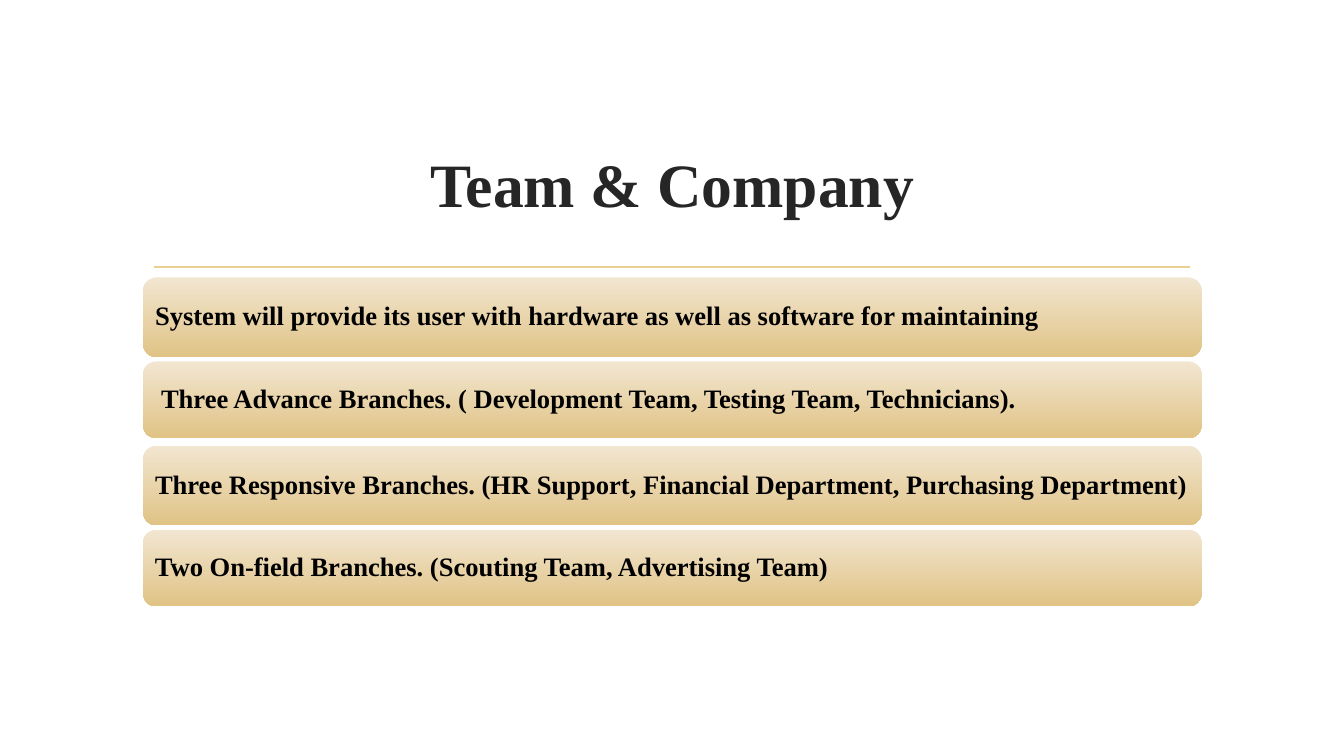
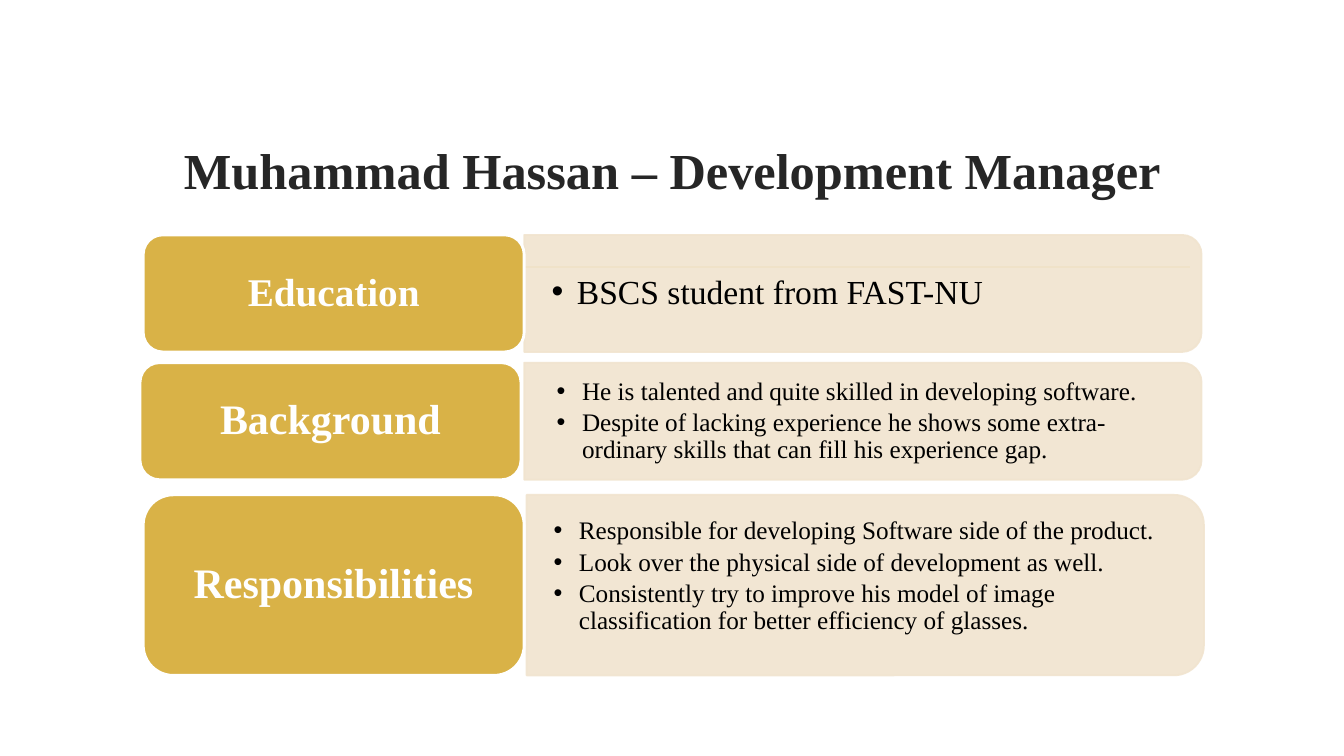
from lxml.etree import SubElement
from pptx import Presentation
from pptx.dml.color import RGBColor
from pptx.enum.shapes import MSO_CONNECTOR, MSO_SHAPE
from pptx.enum.text import MSO_ANCHOR, PP_ALIGN
from pptx.oxml.ns import qn
from pptx.util import Cm, Pt

FONT = "Times New Roman"
COLORS = {
    "title": "262626",
    "rule": "E8D191",
    "bar_top": "F2E6D1",
    "bar_bottom": "E0C385",
    "tab": "D9B247",
    "panel": "F1E4CF",
    "black": "000000",
    "white": "FFFFFF",
}
LEFT, WIDTH = 3.61, 26.67
TAB_WIDTH, PANEL_WIDTH, TEXT_WIDTH = 9.6, 17.07, 16.92
BAR_TOP, BAR_PITCH = 6.99, 2.12

BARS = [
    ("System will provide its user with hardware as well as software for maintaining", 2.01),
    (" Three Advance Branches. ( Development Team, Testing Team, Technicians).", 1.93),
    ("Three Responsive Branches. (HR Support, Financial Department, Purchasing Department)", 2.01),
    ("Two On-field Branches. (Scouting Team, Advertising Team)", 1.93),
]

PROFILE = [
    dict(top=5.92, height=2.95, tab_left=3.61, panel_left=13.21, text_left=13.21,
         label="Education", label_size=28, size=24, anchor=MSO_ANCHOR.MIDDLE,
         points=["BSCS student from FAST-NU"]),
    dict(top=9.14, height=2.95, tab_left=3.53, panel_left=13.21, text_left=13.34,
         label="Background", label_size=30, size=18, anchor=MSO_ANCHOR.MIDDLE,
         points=["He is talented and quite skilled in developing software.",
                 "Despite of lacking experience he shows some extra-ordinary skills "
                 "that can fill his experience gap."]),
    dict(top=12.47, height=4.55, tab_left=3.61, panel_left=13.27, text_left=13.26,
         label="Responsibilities", label_size=30, size=18, anchor=MSO_ANCHOR.TOP,
         points=["Responsible for developing Software side of the product.",
                 "Look over the physical side of development as well.",
                 "Consistently try to improve his model of image classification "
                 "for better efficiency of glasses."]),
]


def rgb(name):
    return RGBColor.from_string(COLORS[name])


def set_frame(tf, margins, anchor=MSO_ANCHOR.MIDDLE):
    """Margins are left, top, right, bottom in centimetres."""
    tf.word_wrap = True
    tf.vertical_anchor = anchor
    tf.margin_left, tf.margin_top, tf.margin_right, tf.margin_bottom = map(Cm, margins)


def style(p, size, color, bold=False, align=PP_ALIGN.LEFT, spacing=0.9):
    p.alignment = align
    p.line_spacing = spacing
    for r in p.runs:
        r.font.name = FONT
        r.font.size = Pt(size)
        r.font.bold = bold
        r.font.color.rgb = rgb(color)


def add_bullet(p):
    pPr = p._p.get_or_add_pPr()
    pPr.set("marL", str(Cm(0.64)))
    pPr.set("indent", str(-Cm(0.64)))
    SubElement(pPr, qn("a:buFont"), typeface="Arial")
    SubElement(pPr, qn("a:buChar"), char="•")


def add_titled_slide(prs, title, size, height):
    s = prs.slides.add_slide(prs.slide_layouts[6])
    rule = s.shapes.add_connector(MSO_CONNECTOR.STRAIGHT, Cm(3.89), Cm(6.73), Cm(30), Cm(6.73))
    rule.line.color.rgb = rgb("rule")
    rule.line.width = Pt(1.25)
    SubElement(rule._element.spPr, qn("a:effectLst"))
    tf = s.shapes.add_textbox(Cm(LEFT), Cm(2.8), Cm(WIDTH), Cm(height)).text_frame
    set_frame(tf, (0.25, 0.13, 0.25, 0.13))
    tf.text = title
    style(tf.paragraphs[0], size, "title", True, PP_ALIGN.CENTER, 1)
    return s


def add_box(s, kind, left, top, width, height):
    sp = s.shapes.add_shape(kind, Cm(left), Cm(top), Cm(width), Cm(height))
    sp.shadow.inherit = False
    return sp


def add_bar(s, text, top, height):
    sp = add_box(s, MSO_SHAPE.ROUNDED_RECTANGLE, LEFT, top, WIDTH, height)
    sp.fill.gradient()
    sp.fill.gradient_angle = 270
    for stop, name in zip(sp.fill.gradient_stops, ("bar_top", "bar_bottom")):
        stop.color.rgb = rgb(name)
    sp.line.fill.background()
    tf = sp.text_frame
    set_frame(tf, (0.2, 0.2, 0.1, 0.2))
    tf.text = text
    style(tf.paragraphs[0], 19, "black", True)


def add_panel(s, left, top, height):
    """Translucent panel with round right corners: a top-rounded box turned 90°."""
    shift = (PANEL_WIDTH - height) / 2
    sp = add_box(s, MSO_SHAPE.ROUND_2_SAME_RECTANGLE,
                 left + shift, top - shift, height, PANEL_WIDTH)
    sp.rotation = 90
    sp.fill.solid()
    sp.fill.fore_color.rgb = rgb("panel")
    sp.line.color.rgb = rgb("panel")
    sp.line.width = Pt(1.25)
    for clr in sp._element.spPr.iter(qn("a:srgbClr")):
        SubElement(clr, qn("a:alpha"), val="90000")


def add_tab(s, label, size, left, top, height):
    sp = add_box(s, MSO_SHAPE.ROUNDED_RECTANGLE, left, top, TAB_WIDTH, height)
    sp.fill.solid()
    sp.fill.fore_color.rgb = rgb("tab")
    sp.line.color.rgb = rgb("white")
    sp.line.width = Pt(2)
    tf = sp.text_frame
    set_frame(tf, (0.3, 0.15, 0.3, 0.15))
    tf.text = label
    style(tf.paragraphs[0], size, "white", True, PP_ALIGN.CENTER)


def add_points(s, points, size, left, top, height, anchor):
    inset = 0.15 if height < 4 else 0.22
    tf = s.shapes.add_textbox(Cm(left), Cm(top + inset), Cm(TEXT_WIDTH),
                              Cm(height - 2 * inset)).text_frame
    set_frame(tf, (0.69, 0.36, 0.69, 0.36), anchor)
    tf.text = "\n".join(points)
    for i, p in enumerate(tf.paragraphs):
        add_bullet(p)
        style(p, size, "black")
        if i:
            p.space_before = Pt(3)


def add_profile_row(s, row):
    top, height = row["top"], row["height"]
    add_panel(s, row["panel_left"], top, height)
    add_points(s, row["points"], row["size"], row["text_left"], top, height, row["anchor"])
    add_tab(s, row["label"], row["label_size"], row["tab_left"], top, height)


def main():
    prs = Presentation()
    prs.slide_width, prs.slide_height = Cm(33.87), Cm(19.05)

    s = add_titled_slide(prs, "Team & Company", 44, 3.63)
    for i, (text, height) in enumerate(BARS):
        add_bar(s, text, BAR_TOP + i * BAR_PITCH, height)

    s = add_titled_slide(prs, "Muhammad Hassan – Development Manager", 36, 2.95)
    for row in PROFILE:
        add_profile_row(s, row)

    prs.save("out.pptx")


if __name__ == "__main__":
    main()
